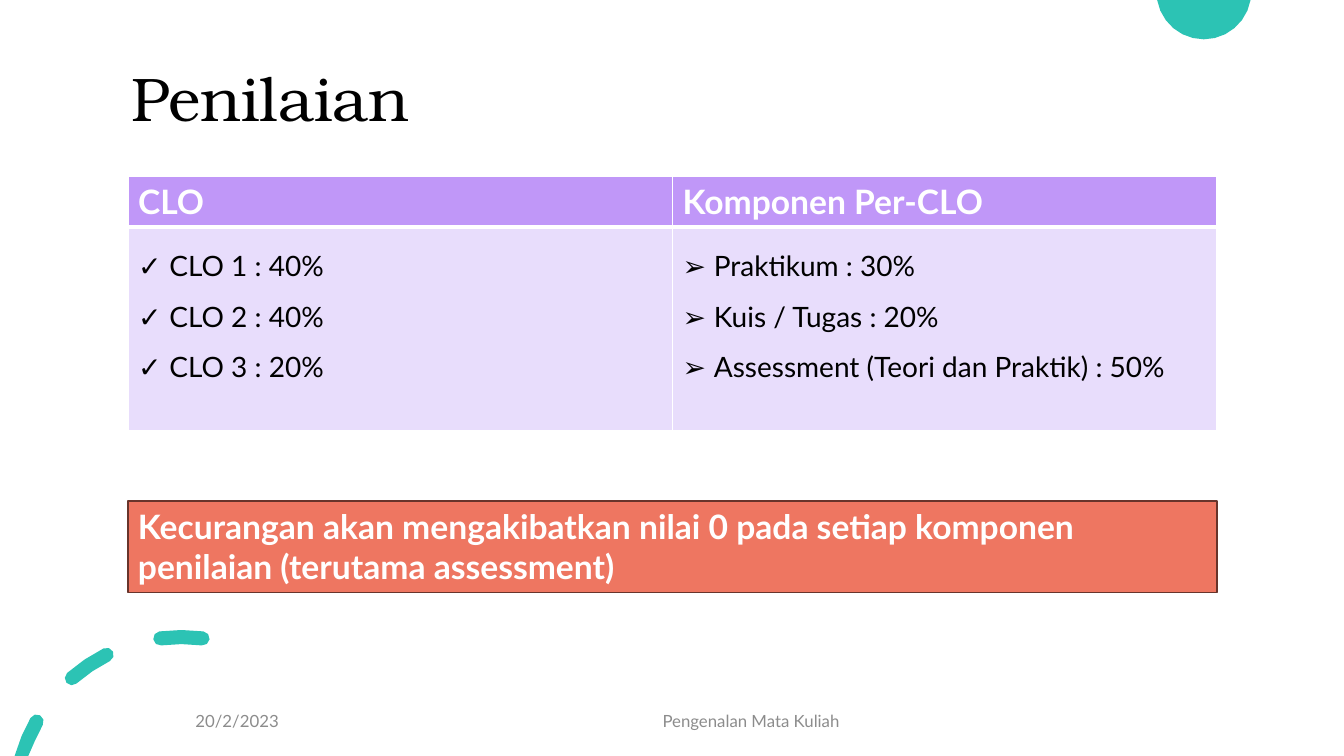
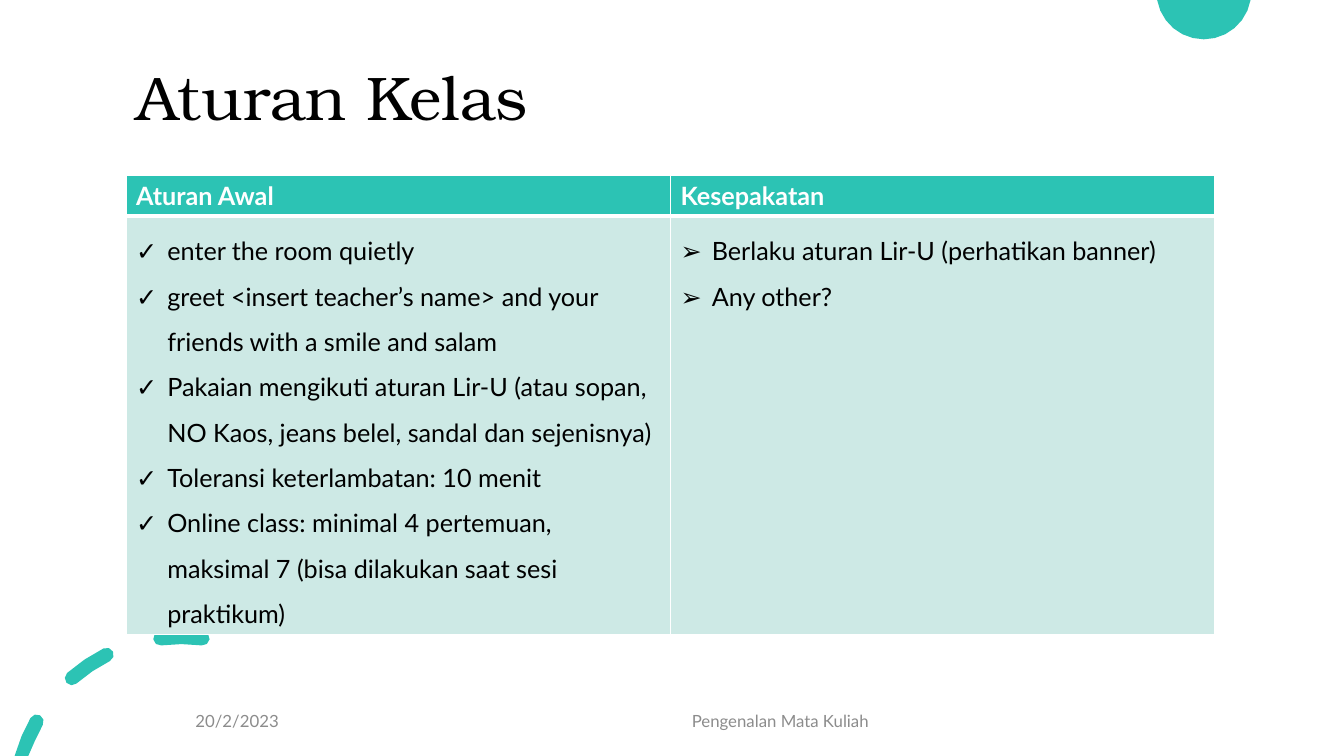
from math import asin, cos, pi, radians, sin

from lxml.etree import SubElement
from pptx import Presentation
from pptx.dml.color import RGBColor
from pptx.enum.shapes import MSO_SHAPE
from pptx.enum.text import MSO_ANCHOR, MSO_AUTO_SIZE, PP_ALIGN
from pptx.oxml import parse_xml
from pptx.oxml.ns import nsdecls, qn
from pptx.util import Inches, Pt

TEAL, LILAC, CORAL = "2CC3B4", "C097F8", "EE7661"
WHITE, BLACK, GREY = "FFFFFF", "000000", "8C8C8C"
TITLE_FONT, BODY_FONT = "TeX Gyre Bonum", "Lato"
CONTENT_WIDTH = 10.8
INDENT = Inches(0.31)


def color(value):
    return RGBColor.from_string(value)


def add_run(paragraph, text, size, value, font=BODY_FONT, bold=False):
    run = paragraph.add_run()
    run.text = text
    run.font.size = Pt(size)
    run.font.name = font
    run.font.bold = bold
    run.font.color.rgb = color(value)


pages = [
    {
        "title": "Penilaian", "title_position": (1.2, 0.27), "footer_left": 5.2,
        "table_position": (1.27, 1.75), "row_heights": (0.5, 2.02),
        "header_size": 24, "body_size": 20, "header_fill": LILAC, "body_fill": "E8DDFC",
        "columns": [
            ("CLO", "✓", ["CLO 1 : 40%", "CLO 2 : 40%", "CLO 3 : 20%"]),
            ("Komponen Per-CLO", "➢", [
                "Praktikum : 30%",
                "Kuis / Tugas : 20%",
                "Assessment (Teori dan Praktik) : 50%",
            ]),
        ],
        "notice": "Kecurangan akan mengakibatkan nilai 0 pada setiap komponen "
                  "penilaian (terutama assessment)",
    },
    {
        "title": "Aturan Kelas", "title_position": (1.25, 0.26), "footer_left": 5.49,
        "table_position": (1.25, 1.74), "row_heights": (0.4, 4.13),
        "header_size": 18, "body_size": 18, "header_fill": TEAL, "body_fill": "CDE9E5",
        "columns": [
            ("Aturan Awal", "✓", [
                "enter the room quietly",
                "greet <insert teacher’s name> and your friends with a smile and salam",
                "Pakaian mengikuti aturan Lir-U (atau sopan, NO Kaos, jeans belel, "
                "sandal dan sejenisnya)",
                "Toleransi keterlambatan: 10 menit",
                "Online class: minimal 4 pertemuan, maksimal 7 (bisa dilakukan saat "
                "sesi praktikum)",
            ]),
            ("Kesepakatan", "➢", [
                "Berlaku aturan Lir-U (perhatikan banner)",
                "Any other?",
            ]),
        ],
        "notice": None,
    },
]

presentation = Presentation()
presentation.slide_width = Inches(13.33)
presentation.slide_height = Inches(7.5)
layout = presentation.slide_layouts[5]
slides = [presentation.slides.add_slide(layout) for page in pages]

disc_x, disc_y, disc_radius = 11.94, -0.08, 0.47
edge_angle = asin(-disc_y / disc_radius)
disc = []
for step in range(13):
    angle = edge_angle + (pi - 2 * edge_angle) * step / 12
    disc.append((disc_x + disc_radius * cos(angle), disc_y + disc_radius * sin(angle)))

ring_x, ring_y, ring_radius, half_width = 1.8, 7.97, 1.65, 0.07
dashes = []
for start, end in ((-74, -60.5), (-41.2, -26.7), (-7.3, 7.3)):
    middle = (start + end) / 2
    corners = [(middle, 0)] + [(end, turn) for turn in range(0, 181, 45)]
    corners += [(middle, 180)] + [(start, turn) for turn in range(180, 361, 45)]
    dash = []
    for degrees, turn in corners:
        angle = radians(degrees)
        radius = ring_radius + half_width * cos(radians(turn))
        along = half_width * sin(radians(turn))
        dash.append((ring_x + radius * sin(angle) + along * cos(angle),
                     min(7.5, ring_y - radius * cos(angle) + along * sin(angle))))
    dashes.append(dash)

for number, contours in enumerate(([disc], dashes)):
    builder = None
    for contour in contours:
        points = [(Inches(x), Inches(y)) for x, y in contour]
        if builder is None:
            builder = slides[0].shapes.build_freeform(*points[0])
        else:
            builder.move_to(*points[0])
        builder.add_line_segments(points[1:], close=True)
    ornament = builder.convert_to_shape()
    ornament.shadow.inherit = False
    ornament.fill.solid()
    ornament.fill.fore_color.rgb = color(TEAL)
    ornament.line.fill.background()
    ornament.element.nvSpPr.cNvPr.set("id", str(100 + number))
    layout.shapes.element.append(ornament.element)

for slide, page in zip(slides, pages):
    title = slide.shapes.title
    left, top = page["title_position"]
    title.left, title.top = Inches(left), Inches(top)
    title.width, title.height = Inches(CONTENT_WIDTH), Inches(1.48)
    title.text_frame.vertical_anchor = MSO_ANCHOR.MIDDLE
    title.text_frame.auto_size = MSO_AUTO_SIZE.NONE
    paragraph = title.text_frame.paragraphs[0]
    paragraph.alignment = PP_ALIGN.LEFT
    paragraph.line_spacing = 0.9
    add_run(paragraph, page["title"], 44, BLACK, TITLE_FONT)

    left, top = page["table_position"]
    table = slide.shapes.add_table(
        2, 2, Inches(left), Inches(top), Inches(CONTENT_WIDTH),
        Inches(sum(page["row_heights"]))).table
    table.horz_banding = False
    for row, height in zip(table.rows, page["row_heights"]):
        row.height = Inches(height)
    for column, (heading, bullet, items) in enumerate(page["columns"]):
        header_cell, body_cell = table.cell(0, column), table.cell(1, column)
        add_run(header_cell.text_frame.paragraphs[0], heading, page["header_size"],
                WHITE, bold=True)
        for index, item in enumerate(items):
            frame = body_cell.text_frame
            paragraph = frame.add_paragraph() if index else frame.paragraphs[0]
            paragraph.line_spacing = 1.5
            properties = paragraph._p.get_or_add_pPr()
            properties.set("marL", str(INDENT))
            properties.set("indent", str(-INDENT))
            SubElement(properties, qn("a:buFont")).set("typeface", BODY_FONT)
            SubElement(properties, qn("a:buChar")).set("char", bullet)
            add_run(paragraph, item, page["body_size"], BLACK)
        for cell, fill, top_width, bottom_width in (
                (header_cell, page["header_fill"], 1, 3),
                (body_cell, page["body_fill"], 3, 1)):
            cell.fill.solid()
            cell.fill.fore_color.rgb = color(fill)
            borders = (("L", 1), ("R", 1), ("T", top_width), ("B", bottom_width))
            for position, (side, width) in enumerate(borders):
                cell._tc.get_or_add_tcPr().insert(position, parse_xml(
                    f'<a:ln{side} {nsdecls("a")} w="{Pt(width)}"><a:solidFill>'
                    f'<a:srgbClr val="{WHITE}"/></a:solidFill></a:ln{side}>'))

    if page["notice"]:
        notice = slide.shapes.add_shape(
            MSO_SHAPE.RECTANGLE, Inches(left), Inches(4.97), Inches(CONTENT_WIDTH), Inches(0.91))
        notice.shadow.inherit = False
        notice.fill.solid()
        notice.fill.fore_color.rgb = color(CORAL)
        notice.line.color.rgb = color("68342B")
        notice.line.width = Pt(1)
        notice.text_frame.word_wrap = True
        notice.text_frame.auto_size = MSO_AUTO_SIZE.SHAPE_TO_FIT_TEXT
        notice.text_frame.vertical_anchor = MSO_ANCHOR.TOP
        paragraph = notice.text_frame.paragraphs[0]
        paragraph.alignment = PP_ALIGN.LEFT
        add_run(paragraph, page["notice"], 24, WHITE, bold=True)

    for text, left, width, alignment in (
            ("20/2/2023", 1.84, 1.69, PP_ALIGN.LEFT),
            ("Pengenalan Mata Kuliah", page["footer_left"], 4.5, PP_ALIGN.CENTER)):
        footer = slide.shapes.add_textbox(Inches(left), Inches(6.95), Inches(width), Inches(0.4))
        footer.text_frame.word_wrap = True
        footer.text_frame.vertical_anchor = MSO_ANCHOR.MIDDLE
        paragraph = footer.text_frame.paragraphs[0]
        paragraph.alignment = alignment
        add_run(paragraph, text, 12, GREY)

presentation.save("out.pptx")
